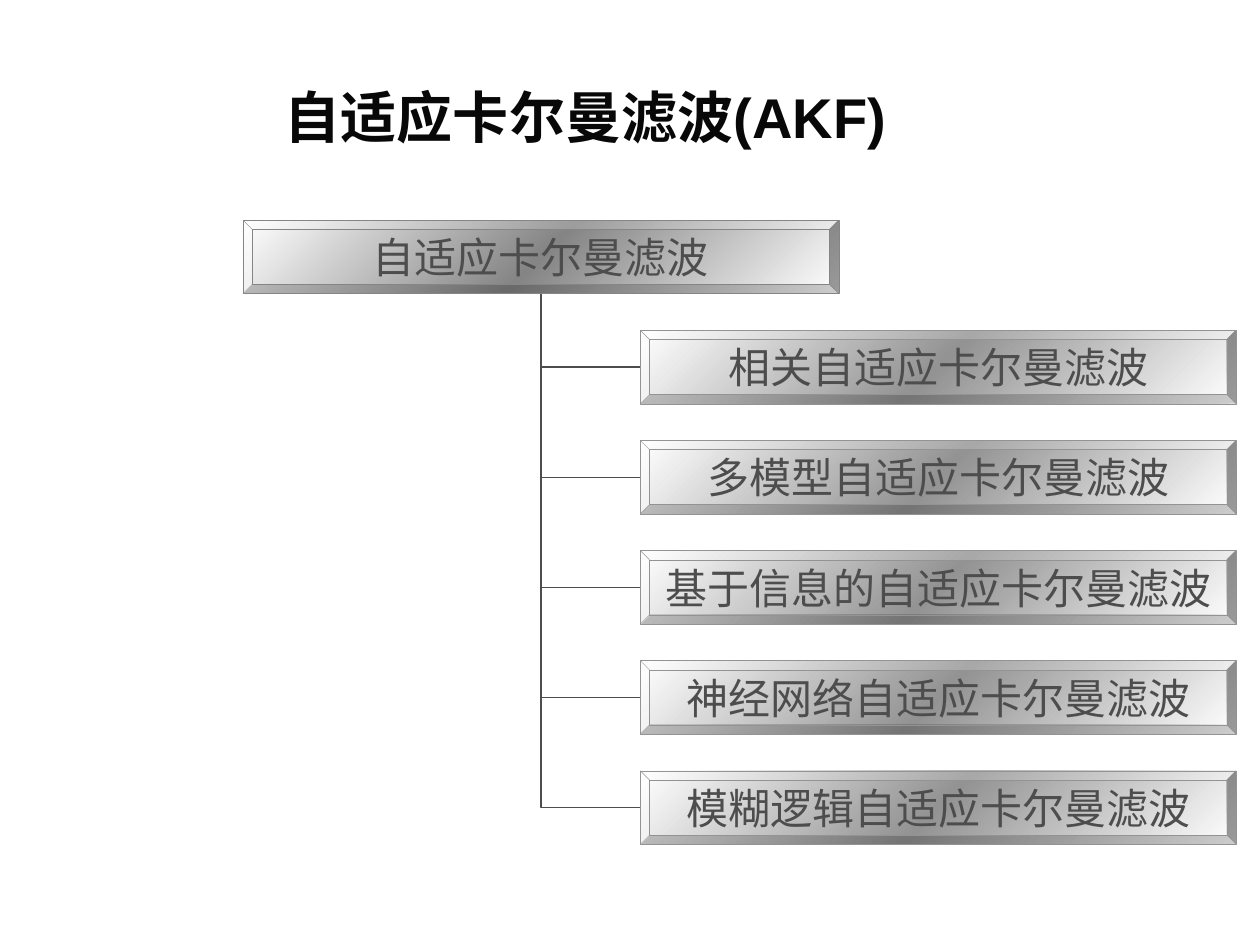
"""Build the slide that lists the branches of adaptive Kalman filtering."""

from copy import deepcopy
from dataclasses import dataclass

from pptx import Presentation
from pptx.dml.color import RGBColor
from pptx.enum.shapes import MSO_CONNECTOR, MSO_SHAPE
from pptx.enum.text import MSO_ANCHOR, MSO_AUTO_SIZE, PP_ALIGN
from pptx.oxml.ns import qn
from pptx.oxml.xmlchemy import OxmlElement
from pptx.shapes.group import GroupShape
from pptx.shapes.placeholder import SlidePlaceholder
from pptx.text.text import TextFrame
from pptx.util import Cm, Pt

BEVEL = MSO_SHAPE.BEVEL
ELBOW = MSO_CONNECTOR.ELBOW
LEFT, CENTER = PP_ALIGN.LEFT, PP_ALIGN.CENTER
MIDDLE = MSO_ANCHOR.MIDDLE
NO_AUTOFIT = MSO_AUTO_SIZE.NONE

COLORS = {
    "title": "080808",
    "label": "4D4D4D",
    "link": "4D4D4D",
    "highlight": "FFFFFF",
    "root": "858585",
    "branch": "939393",
}
TITLE_FONT = {"name": "Arial", "size": Pt(32), "bold": True}
LABEL_FONT = {"name": "Arial", "size": Pt(24), "bold": False}
TITLE_PLACE = {"left": Cm(5.49), "top": Cm(0.76), "width": Cm(18.64), "height": Cm(3.18)}

ROOT_LEFT, BRANCH_LEFT, TOP = 4.9, 12.91, 4.44
BOX_WIDTH, BOX_HEIGHT, ROW_PITCH = 12.01, 1.48, 2.22
BRANCHES = (
    "相关自适应卡尔曼滤波",
    "多模型自适应卡尔曼滤波",
    "基于信息的自适应卡尔曼滤波",
    "神经网络自适应卡尔曼滤波",
    "模糊逻辑自适应卡尔曼滤波",
)


@dataclass(frozen=True)
class Node:
    """A box of the chart, with its place in centimetres."""

    label: str
    left: float
    top: float
    shade: str


def color(key: str) -> RGBColor:
    """Return the named colour."""
    return RGBColor.from_string(COLORS[key])


def write(frame: TextFrame, text: str, font_format: dict, ink: str, align: PP_ALIGN) -> None:
    """Put one formatted paragraph into a text frame."""
    frame.text = text
    frame.vertical_anchor = MIDDLE
    paragraph = frame.paragraphs[0]
    paragraph.alignment = align
    font = paragraph.runs[0].font
    for attribute, value in font_format.items():
        setattr(font, attribute, value)
    font.color.rgb = color(ink)


def draw_title(title: SlidePlaceholder, text: str) -> None:
    """Place and fill the title placeholder."""
    for attribute, value in TITLE_PLACE.items():
        setattr(title, attribute, value)
    title.text_frame.auto_size = NO_AUTOFIT
    write(title.text_frame, text, TITLE_FONT, "title", LEFT)


def draw_node(chart: GroupShape, node: Node) -> None:
    """Draw a bevelled box with a metallic gradient."""
    box = chart.shapes.add_shape(
        BEVEL, Cm(node.left), Cm(node.top), Cm(BOX_WIDTH), Cm(BOX_HEIGHT)
    )
    box.shadow.inherit = False
    box.fill.gradient()
    box.fill.gradient_angle = 135
    stop_list = next(box._element.spPr.iter(qn("a:gsLst")))
    stop_list.append(deepcopy(stop_list[0]))
    shades = ("highlight", node.shade, "highlight")
    for stop, position, shade in zip(box.fill.gradient_stops, (0, 0.5, 1), shades):
        stop.position = position
        stop.color.rgb = color(shade)
    box.line.color.rgb = color(node.shade)
    box.line.width = Pt(0.25)
    write(box.text_frame, node.label, LABEL_FONT, "label", CENTER)


def draw_link(chart: GroupShape, root: Node, branch: Node) -> None:
    """Join a branch's left side to the root's bottom with one bend."""
    link = chart.shapes.add_connector(
        ELBOW,
        Cm(root.left + BOX_WIDTH / 2),
        Cm(root.top + BOX_HEIGHT),
        Cm(branch.left),
        Cm(branch.top + BOX_HEIGHT / 2),
    )
    properties = link._element.spPr
    properties.find(qn("a:xfrm")).set("rot", str(180 * 60000))
    properties.find(qn("a:prstGeom")).set("prst", "bentConnector2")
    link.line.color.rgb = color("link")
    link.line.width = Pt(0.75)
    properties.append(OxmlElement("a:effectLst"))


def main() -> None:
    """Build and save the presentation."""
    presentation = Presentation()
    presentation.slide_width, presentation.slide_height = Cm(25.4), Cm(19.05)
    slide = presentation.slides.add_slide(presentation.slide_layouts[5])
    draw_title(slide.shapes.title, "自适应卡尔曼滤波(AKF)")

    chart = slide.shapes.add_group_shape()
    root = Node("自适应卡尔曼滤波", ROOT_LEFT, TOP, "root")
    draw_node(chart, root)
    for row, label in enumerate(BRANCHES, start=1):
        branch = Node(label, BRANCH_LEFT, TOP + row * ROW_PITCH, "branch")
        draw_node(chart, branch)
        draw_link(chart, root, branch)

    presentation.save("out.pptx")


if __name__ == "__main__":
    main()
